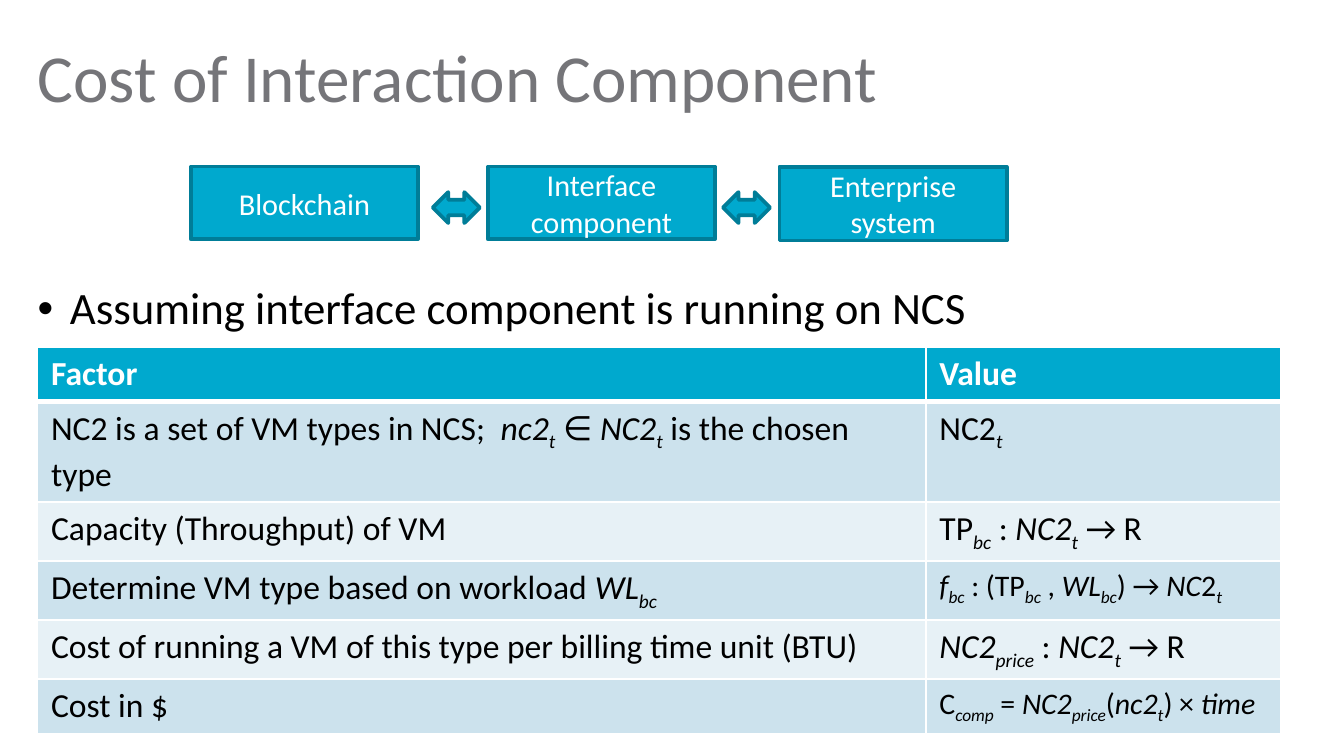
"""Build a slide on the cost of the interaction component."""
from dataclasses import dataclass

from lxml.etree import SubElement
from pptx import Presentation
from pptx.dml.color import RGBColor as Rgb
from pptx.enum.shapes import MSO_SHAPE as Shape
from pptx.enum.text import MSO_ANCHOR as Anchor, MSO_AUTO_SIZE as Fit, PP_ALIGN as Align
from pptx.oxml.ns import qn
from pptx.util import Inches, Pt

TITLE = "Cost of Interaction Component"
ASSUMPTION = "Assuming interface component is running on NCS"

SYSTEMS = [("Blockchain", 1.42, 0.54), ("Interface component", 3.63, 0.54),
           ("Enterprise system", 5.8, 0.55)]
ARROW_LEFTS = [3.22, 5.38]

ITALIC, SUB = "italic", "subscript"
TYPE_SET = [("NC2", ITALIC), ("t", SUB)]
HEADER = ["Factor", "Value"]
FACTORS = [
    (["NC2 is a set of VM types in NCS;  ", ("nc2", ITALIC), ("t", SUB), " ∈ ", *TYPE_SET,
      " is the chosen type"],
     ["NC2", ("t", SUB)], "body"),
    (["Capacity (Throughput) of VM"],
     ["TP", ("bc", SUB), " : ", *TYPE_SET, " → R"], "body"),
    (["Determine VM type based on workload ", ("WL", ITALIC), ("bc", SUB)],
     [("f", ITALIC), ("bc", SUB), " : (TP", ("bc", SUB), " , ", ("WL", ITALIC), ("bc", SUB),
      ") → ", ("NC", ITALIC), "2", ("t", SUB)], "formula"),
    (["Cost of running a VM of this type per billing time unit (BTU)"],
     [("NC2", ITALIC), ("price", SUB), " : ", *TYPE_SET, " → R"], "body"),
    (["Cost in $"],
     ["C", ("comp", SUB), " = ", ("NC2", ITALIC), ("price", SUB), "(", ("nc2", ITALIC),
      ("t", SUB), ") × ", ("time", ITALIC)], "formula"),
]


@dataclass(frozen=True)
class Theme:
    font: str = "Calibri"
    title: str = "757579"
    ink: str = "000000"
    paper: str = "FFFFFF"
    accent: str = "00A9CE"
    edge: str = "007D98"
    bands: tuple = ("CCE2ED", "E7F1F6")
    sizes: tuple = (("title", 36), ("bullet", 24), ("body", 18), ("box", 16.2), ("formula", 16))

    def size(self, role):
        return Pt(dict(self.sizes)[role])


THEME = Theme()
LEFT, WIDTH = 0.28, 9.45
COLUMNS, ROW = (6.61, 2.64), 0.41


def write(para, spans, role="body", color=THEME.ink, bold=False, align=Align.LEFT):
    para.alignment = align
    for item in [spans] if isinstance(spans, str) else spans:
        text, style = (item, None) if isinstance(item, str) else item
        span = para.add_run()
        span.text = text
        font = span.font
        font.name, font.size, font.bold = THEME.font, THEME.size(role), bold
        font.italic = style is not None
        font.color.rgb = Rgb.from_string(color)
        if style == SUB:
            span._r.get_or_add_rPr().set("baseline", "-25000")


def place(holder, top, height):
    holder.left, holder.top = Inches(LEFT), Inches(top)
    holder.width, holder.height = Inches(WIDTH), Inches(height)
    frame = holder.text_frame
    frame.margin_left = frame.margin_top = frame.margin_right = frame.margin_bottom = 0
    frame.vertical_anchor, frame.auto_size, frame.word_wrap = Anchor.TOP, Fit.NONE, True
    return frame.paragraphs[0]


def add_bullet(para):
    props = para._p.get_or_add_pPr()
    props.set("marL", str(Inches(0.24)))
    props.set("indent", str(-Inches(0.24)))
    SubElement(props, qn("a:buFont")).set("typeface", "Arial")
    SubElement(props, qn("a:buChar")).set("char", "•")
    para.line_spacing = 0.9
    para.space_before = Pt(0)


def add_block(page, kind, left, top, width, height):
    block = page.shapes.add_shape(kind, *map(Inches, (left, top, width, height)))
    block.shadow.inherit = False
    block.fill.solid()
    block.fill.fore_color.rgb = Rgb.from_string(THEME.accent)
    block.line.color.rgb = Rgb.from_string(THEME.edge)
    block.line.width = Pt(2)
    return block


def add_diagram(page):
    for label, left, height in SYSTEMS:
        frame = add_block(page, Shape.RECTANGLE, left, 1.24, 1.69, height).text_frame
        frame.word_wrap, frame.vertical_anchor = True, Anchor.MIDDLE
        write(frame.paragraphs[0], label, role="box", color=THEME.paper, align=Align.CENTER)
    for left in ARROW_LEFTS:
        add_block(page, Shape.LEFT_RIGHT_ARROW, left, 1.43, 0.35, 0.23)


def add_borders(cell, bottom):
    props = cell._tc.get_or_add_tcPr()
    for side, width in (("L", 1), ("R", 1), ("T", 1), ("B", bottom)):
        line = SubElement(props, qn(f"a:ln{side}"), w=str(Pt(width)))
        SubElement(SubElement(line, qn("a:solidFill")), qn("a:srgbClr"), val=THEME.paper)


def fill_cell(cell, spans, fill, **style):
    cell.fill.solid()
    cell.fill.fore_color.rgb = Rgb.from_string(fill)
    write(cell.text_frame.paragraphs[0], spans, **style)


def add_factors(page):
    count = len(FACTORS) + 1
    table = page.shapes.add_table(count, len(COLUMNS), Inches(LEFT), Inches(2.58),
                                  Inches(sum(COLUMNS)), Inches(count * ROW)).table
    for column, width in zip(table.columns, COLUMNS):
        column.width = Inches(width)
    for index, label in enumerate(HEADER):
        add_borders(table.cell(0, index), bottom=3)
        fill_cell(table.cell(0, index), label, THEME.accent, color=THEME.paper, bold=True)
    for row, (factor, value, role) in enumerate(FACTORS, 1):
        band = THEME.bands[(row - 1) % 2]
        fill_cell(table.cell(row, 0), factor, band)
        fill_cell(table.cell(row, 1), value, band, role=role)


def main():
    deck = Presentation()
    deck.slide_width = Inches(10)
    deck.slide_height = deck.slide_width * 9 // 16
    page = deck.slides.add_slide(deck.slide_layouts[1])
    title = place(page.shapes.title, 0.26, 0.7)
    write(title, TITLE, role="title", color=THEME.title)
    body = place(page.placeholders[1], 2.13, 3.13)
    add_bullet(body)
    write(body, ASSUMPTION, role="bullet")
    add_diagram(page)
    add_factors(page)
    deck.save("out.pptx")


if __name__ == "__main__":
    main()
